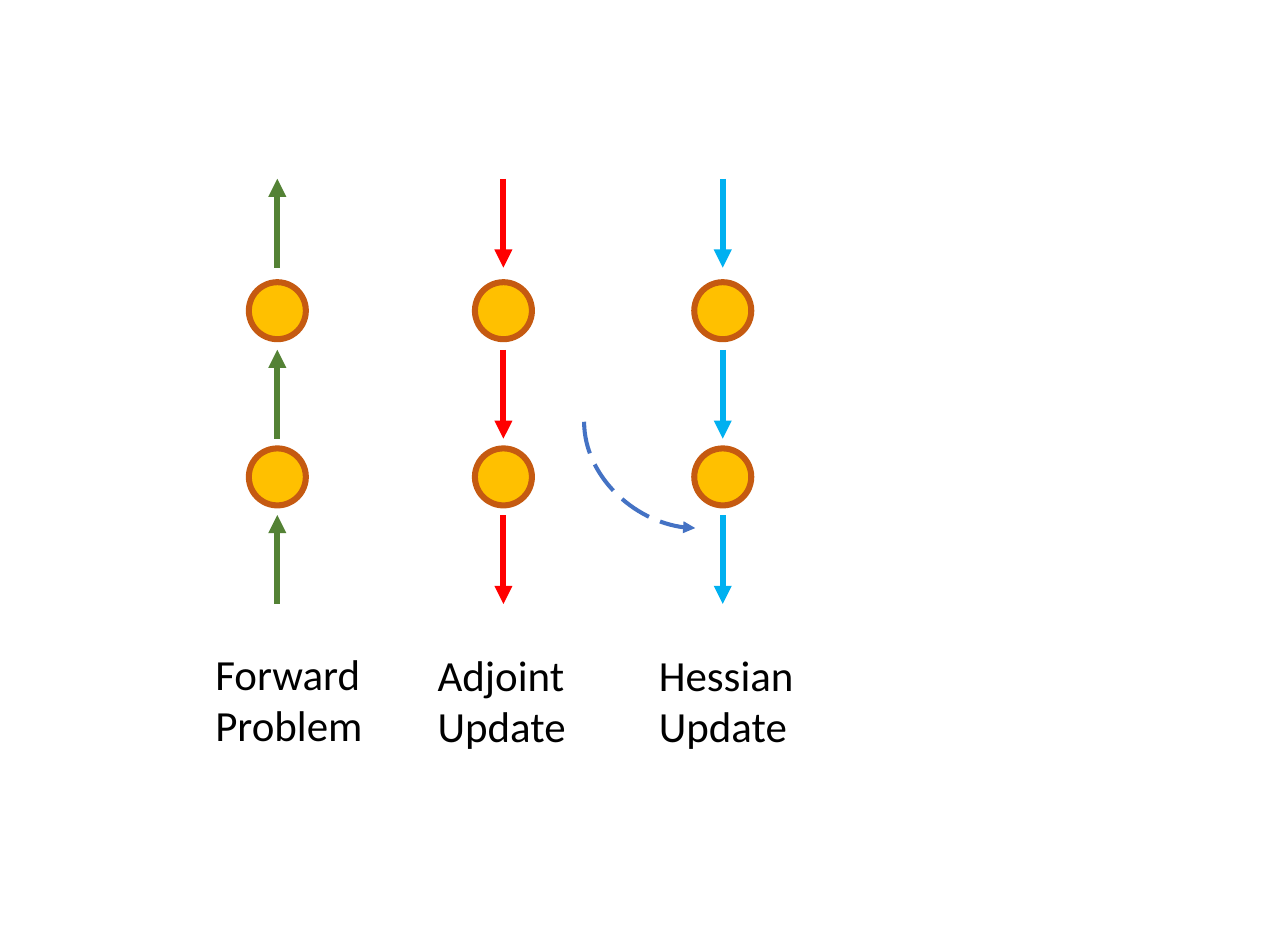
from dataclasses import dataclass

from lxml.etree import SubElement
from pptx import Presentation
from pptx.dml.color import RGBColor
from pptx.enum.dml import MSO_LINE
from pptx.enum.shapes import MSO_CONNECTOR, MSO_SHAPE
from pptx.enum.text import MSO_AUTO_SIZE
from pptx.oxml.ns import qn
from pptx.shapes.connector import Connector
from pptx.slide import Slide
from pptx.util import Inches, Pt


@dataclass(frozen=True)
class Theme:
    font: str = "Calibri"
    label_size: int = 32
    flow_weight: float = 4.5
    link_weight: float = 3
    text: str = "000000"
    node_fill: str = "FFC000"
    node_line: str = "C55A11"
    forward: str = "548235"
    adjoint: str = "FF0000"
    hessian: str = "00B0F0"
    link: str = "4472C4"


@dataclass(frozen=True)
class Sweep:
    label: str
    center: float
    color: str
    upward: bool
    label_left: float
    label_top: float
    label_width: float


THEME = Theme()
SWEEPS = [
    Sweep("Forward\nProblem", 2.87, THEME.forward, True, 2.13, 6.65, 1.82),
    Sweep("Adjoint\nUpdate", 5.21, THEME.adjoint, False, 4.43, 6.66, 1.53),
    Sweep("Hessian\nUpdate", 7.48, THEME.hessian, False, 6.72, 6.66, 1.61),
]
NODE_SIZE = 0.59
NODE_TOPS = [2.92, 4.64]
ARROW_TOPS = [1.85, 3.62, 5.33]
ARROW_LENGTH = 0.92
LABEL_HEIGHT = 1.18


def style_arrow(arrow: Connector, color: str, weight: float) -> None:
    """Colour the line, put a triangle at its end and remove its shadow."""
    arrow.line.color.rgb = RGBColor.from_string(color)
    arrow.line.width = Pt(weight)
    properties = arrow._element.spPr
    SubElement(properties.find(qn("a:ln")), qn("a:tailEnd"), type="triangle")
    SubElement(properties, qn("a:effectLst"))


def add_node(slide: Slide, center: float, top: float) -> None:
    node = slide.shapes.add_shape(
        MSO_SHAPE.OVAL, Inches(center - NODE_SIZE / 2), Inches(top),
        Inches(NODE_SIZE), Inches(NODE_SIZE))
    node.shadow.inherit = False
    node.fill.solid()
    node.fill.fore_color.rgb = RGBColor.from_string(THEME.node_fill)
    node.line.color.rgb = RGBColor.from_string(THEME.node_line)
    node.line.width = Pt(THEME.flow_weight)


def add_flow_arrow(slide: Slide, sweep: Sweep, top: float) -> None:
    start, end = top, top + ARROW_LENGTH
    if sweep.upward:
        start, end = end, start
    arrow = slide.shapes.add_connector(
        MSO_CONNECTOR.STRAIGHT, Inches(sweep.center), Inches(start),
        Inches(sweep.center), Inches(end))
    style_arrow(arrow, sweep.color, THEME.flow_weight)


def add_label(slide: Slide, sweep: Sweep) -> None:
    label = slide.shapes.add_textbox(
        Inches(sweep.label_left), Inches(sweep.label_top),
        Inches(sweep.label_width), Inches(LABEL_HEIGHT))
    frame = label.text_frame
    frame.word_wrap = False
    frame.auto_size = MSO_AUTO_SIZE.SHAPE_TO_FIT_TEXT
    frame.text = sweep.label
    for paragraph in frame.paragraphs:
        for run in paragraph.runs:
            run.font.name = THEME.font
            run.font.size = Pt(THEME.label_size)
            run.font.color.rgb = RGBColor.from_string(THEME.text)


def add_sweep(slide: Slide, sweep: Sweep) -> None:
    for top in NODE_TOPS:
        add_node(slide, sweep.center, top)
    for top in ARROW_TOPS:
        add_flow_arrow(slide, sweep, top)
    add_label(slide, sweep)


def add_update_link(slide: Slide) -> None:
    """Draw the dashed quarter curve that drops and then turns right."""
    link = slide.shapes.add_connector(
        MSO_CONNECTOR.CURVE, Inches(6.07), Inches(4.34),
        Inches(7.17), Inches(5.49))
    properties = link._element.spPr
    properties.find(qn("a:prstGeom")).set("prst", "curvedConnector2")
    frame = properties.find(qn("a:xfrm"))
    frame.set("rot", str(270 * 60000))
    frame.set("flipH", "1")
    link.line.dash_style = MSO_LINE.LONG_DASH
    style_arrow(link, THEME.link, THEME.link_weight)


def main() -> None:
    presentation = Presentation()
    presentation.slide_width = Inches(13.33)
    presentation.slide_height = Inches(9.8)
    slide = presentation.slides.add_slide(presentation.slide_layouts[6])
    for sweep in SWEEPS:
        add_sweep(slide, sweep)
    add_update_link(slide)
    presentation.save("out.pptx")


if __name__ == "__main__":
    main()
